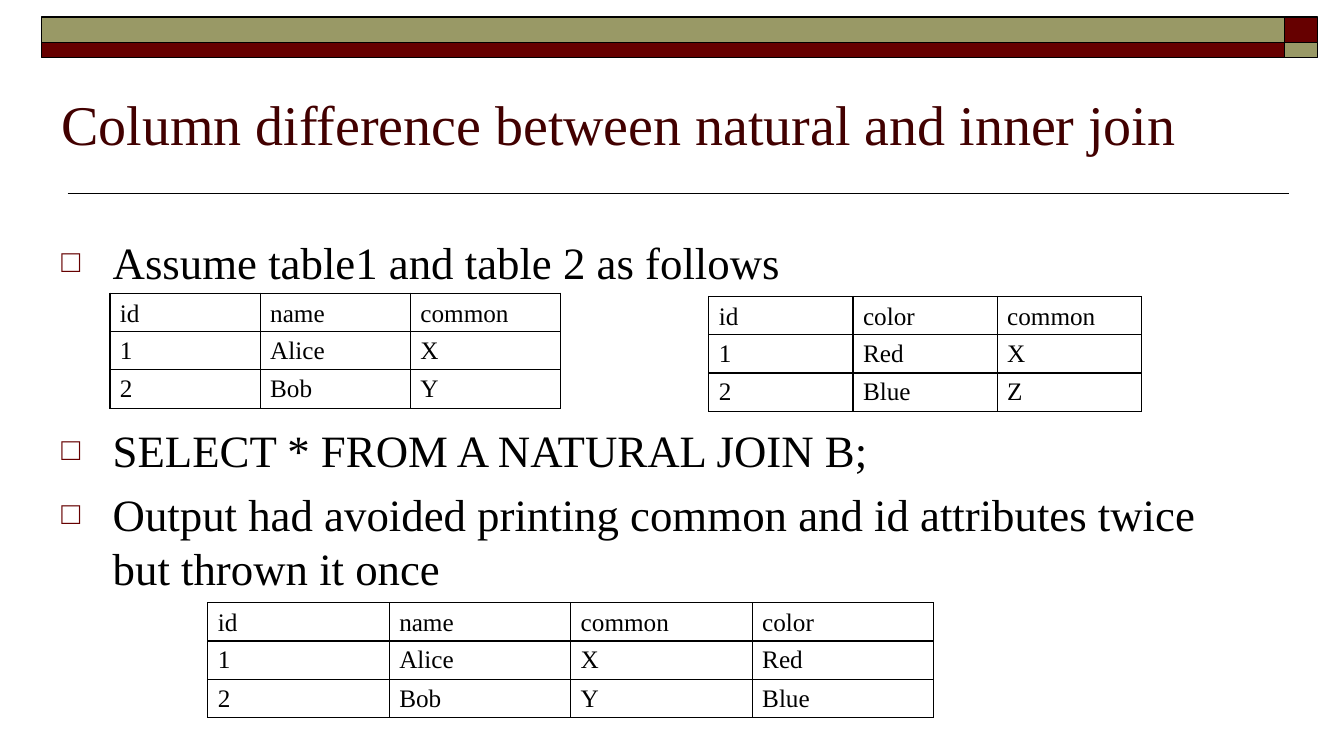
import pptx
import pptx.dml.color
import pptx.enum.shapes
import pptx.enum.text
import pptx.oxml.ns
import pptx.util
from lxml import etree

PIXEL = 9144  # 100 px to the inch
FONT = "Times New Roman"
BLACK = pptx.dml.color.RGBColor(0x00, 0x00, 0x00)
MAROON = pptx.dml.color.RGBColor(0x66, 0x00, 0x00)
DARK_MAROON = pptx.dml.color.RGBColor(0x42, 0x00, 0x00)
OLIVE = pptx.dml.color.RGBColor(0x99, 0x99, 0x66)

ROW_HEIGHT = 38
BODY_INDENT = 51


def px(length):
    return pptx.util.Emu(length * PIXEL)


def add_element(parent, tag, **attributes):
    return etree.SubElement(parent, pptx.oxml.ns.qn(tag), **attributes)


def style_runs(paragraph, size, color):
    for run in paragraph.runs:
        run.font.name = FONT
        run.font.size = pptx.util.Pt(size)
        run.font.color.rgb = color


def add_bar(slide, left, top, width, height, color):
    shape = slide.shapes.add_shape(
        pptx.enum.shapes.MSO_SHAPE.RECTANGLE, px(left), px(top), px(width), px(height))
    shape.shadow.inherit = False
    shape.fill.solid()
    shape.fill.fore_color.rgb = color
    shape.line.color.rgb = BLACK
    shape.line.width = pptx.util.Pt(1)


def add_rule(slide, left, right, y):
    connector = slide.shapes.add_connector(
        pptx.enum.shapes.MSO_CONNECTOR.STRAIGHT, px(left), px(y), px(right), px(y))
    connector.line.color.rgb = BLACK
    connector.line.width = pptx.util.Pt(1)
    add_element(connector._element.spPr, "a:effectLst")


def add_text_frame(slide, left, top, width, height):
    text_frame = slide.shapes.add_textbox(
        px(left), px(top), px(width), px(height)).text_frame
    text_frame.word_wrap = True
    return text_frame


def add_title(slide, text):
    text_frame = add_text_frame(slide, 51, 35, 1200, 125)
    text_frame.vertical_anchor = pptx.enum.text.MSO_ANCHOR.BOTTOM
    text_frame.text = text
    style_runs(text_frame.paragraphs[0], 40, DARK_MAROON)


def add_bullet(paragraph):
    properties = paragraph._p.get_or_add_pPr()
    properties.set("marL", str(px(BODY_INDENT)))
    properties.set("indent", str(-px(BODY_INDENT)))
    color = add_element(properties, "a:buClr")
    add_element(color, "a:srgbClr", val=str(MAROON))
    add_element(properties, "a:buSzPct", val="70000")
    add_element(properties, "a:buFont", typeface=FONT)
    add_element(properties, "a:buChar", char="□")


def add_body(slide, items):
    text_frame = add_text_frame(slide, 51, 225, 1200, 457)
    text_frame.margin_top = px(8)
    text_frame.text = "\n".join(text for text, space in items)
    for paragraph, (text, space) in zip(text_frame.paragraphs, items):
        add_bullet(paragraph)
        paragraph.line_spacing = pptx.util.Pt(38.6)
        if space:
            paragraph.space_before = pptx.util.Pt(space)
        style_runs(paragraph, 32, BLACK)


def add_borders(cell):
    properties = cell._tc.get_or_add_tcPr()
    for side in ("a:lnL", "a:lnR", "a:lnT", "a:lnB"):
        border = add_element(properties, side, w=str(pptx.util.Pt(1)))
        fill = add_element(border, "a:solidFill")
        add_element(fill, "a:srgbClr", val=str(BLACK))


def fill_cell(cell, text, anchor):
    add_borders(cell)
    cell.fill.background()
    cell.vertical_anchor = anchor
    cell.margin_top = cell.margin_bottom = px(4)
    cell.text = text
    style_runs(cell.text_frame.paragraphs[0], 18, BLACK)


def add_data_table(slide, left, top, column_width, rows):
    columns = len(rows[0])
    table = slide.shapes.add_table(
        len(rows), columns, px(left), px(top),
        px(column_width * columns), px(ROW_HEIGHT * len(rows))).table
    table.first_row = False
    table.horz_banding = False
    for row_index, row in enumerate(rows):
        if row_index == 0:
            anchor = pptx.enum.text.MSO_ANCHOR.BOTTOM
        else:
            anchor = pptx.enum.text.MSO_ANCHOR.MIDDLE
        for column_index, text in enumerate(row):
            fill_cell(table.cell(row_index, column_index), text, anchor)


def main():
    presentation = pptx.Presentation()
    presentation.slide_width = px(1333)
    presentation.slide_height = px(750)
    slide = presentation.slides.add_slide(presentation.slide_layouts[6])

    # Header band and rule under the title
    add_rule(slide, 67, 1278, 192)
    add_bar(slide, 1274, 17, 33, 25, MAROON)
    add_bar(slide, 41, 17, 1233, 25, OLIVE)
    add_bar(slide, 41, 42, 1233, 15, MAROON)
    add_bar(slide, 1274, 42, 33, 15, OLIVE)

    # Title and bullets, with room left for the two input tables
    add_title(slide, "Column difference between natural and inner join")
    add_body(slide, [
        ("Assume table1 and table 2 as follows", 0),
        ("SELECT * FROM A NATURAL JOIN B;", 95.7),
        ("Output had avoided printing common and id attributes twice "
         "but thrown it once", 7),
    ])

    # Input tables
    add_data_table(slide, 109, 291, 149, [
        ("id", "name", "common"),
        ("1", "Alice", "X"),
        ("2", "Bob", "Y"),
    ])
    add_data_table(slide, 703, 294, 143, [
        ("id", "color", "common"),
        ("1", "Red", "X"),
        ("2", "Blue", "Z"),
    ])

    # Join result
    add_data_table(slide, 206, 598, 180, [
        ("id", "name", "common", "color"),
        ("1", "Alice", "X", "Red"),
        ("2", "Bob", "Y", "Blue"),
    ])

    presentation.save("out.pptx")


if __name__ == "__main__":
    main()
